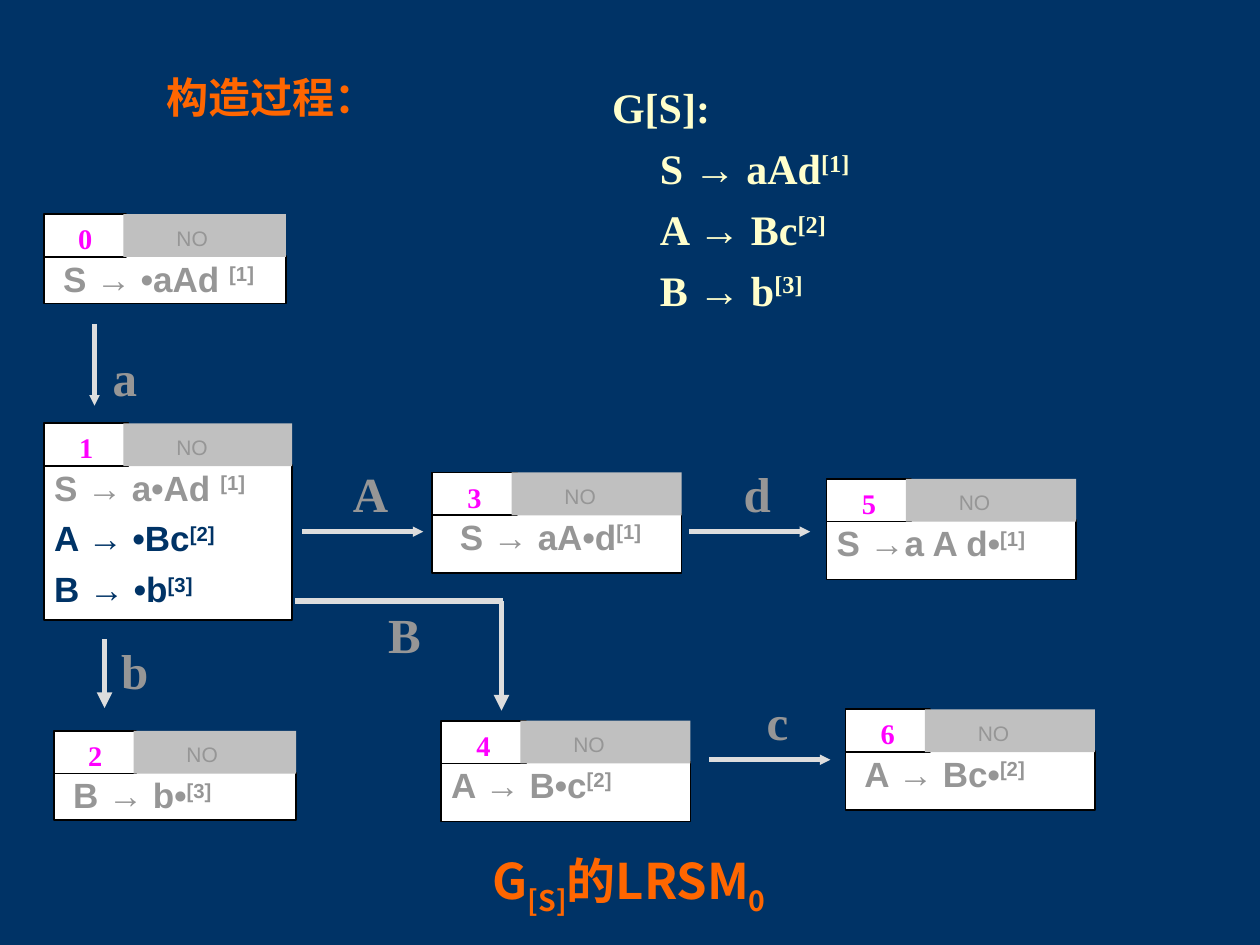
from lxml.etree import SubElement
from pptx import Presentation
from pptx.dml.color import RGBColor
from pptx.enum.shapes import MSO_CONNECTOR, MSO_SHAPE
from pptx.enum.text import MSO_ANCHOR, MSO_AUTO_SIZE, PP_ALIGN
from pptx.oxml.ns import qn
from pptx.util import Inches, Pt

NAVY = RGBColor(0x00, 0x33, 0x66)
ORANGE = RGBColor(0xFF, 0x66, 0x00)
CREAM = RGBColor(0xFF, 0xFF, 0xCC)
MAGENTA = RGBColor(0xFF, 0x00, 0xFF)
GRAY = RGBColor(0x96, 0x96, 0x96)
SILVER = RGBColor(0xC0, 0xC0, 0xC0)
PALE = RGBColor(0xDD, 0xDD, 0xDD)
WHITE = RGBColor(0xFF, 0xFF, 0xFF)
BLACK = RGBColor(0x00, 0x00, 0x00)

SERIF = "Times New Roman"
SANS = "Arial"
CHINESE = "Noto Sans CJK SC"
COLUMNS, ROWS = 100, 75


def write(shape, lines, size=28, font=SERIF, colors=(GRAY,), bold=True, align=PP_ALIGN.LEFT,
          margins=(0.1, 0.1), shift=30, before=0, spacing=None, hanging=0, wrap=True):
    """Write lines into a shape; parts between carets are shifted off the baseline."""
    frame = shape.text_frame
    frame.word_wrap = wrap
    frame.auto_size = MSO_AUTO_SIZE.NONE
    frame.vertical_anchor = MSO_ANCHOR.TOP
    frame.margin_left, frame.margin_top = (Inches(margin) for margin in margins)
    frame.margin_right = frame.margin_bottom = Inches(0.01)
    for index, line in enumerate(lines):
        paragraph = frame.add_paragraph() if index else frame.paragraphs[0]
        paragraph.alignment = align
        paragraph.space_before = Pt(before)
        paragraph.line_spacing = spacing
        if hanging:
            properties = paragraph._p.get_or_add_pPr()
            properties.set("marL", str(Inches(hanging)))
            properties.set("indent", str(-Inches(hanging)))
        for position, part in enumerate(line.split("^")):
            if not part:
                continue
            run = paragraph.add_run()
            run.text = part
            run.font.size = Pt(size)
            run.font.name = font
            run.font.bold = bold
            run.font.color.rgb = colors[min(index, len(colors) - 1)]
            SubElement(run.font._element, qn("a:ea"), typeface=CHINESE)
            if position % 2:
                run.font._element.set("baseline", str(shift * 1000))


class Diagram:
    """Draws a state machine on the current slide, measured in grid columns and rows."""

    def __init__(self, presentation):
        self.column = presentation.slide_width / COLUMNS
        self.row = presentation.slide_height / ROWS
        self.slide = presentation.slides.add_slide(presentation.slide_layouts[5])
        self.slide.background.fill.solid()
        self.slide.background.fill.fore_color.rgb = NAVY

    def area(self, left, top, width, height):
        return (round(left * self.column), round(top * self.row),
                round(width * self.column), round(height * self.row))

    def title(self, text, *place):
        title = self.slide.shapes.title
        title.left, title.top, title.width, title.height = self.area(*place)
        write(title, [text], size=24, colors=(ORANGE,), margins=(0.1, 0.05), wrap=False)

    def text(self, lines, *place, **style):
        write(self.slide.shapes.add_textbox(*self.area(*place)), lines, **style)

    def label(self, letter, left, top):
        self.text([letter], left, top, 4.8, 5.7, align=PP_ALIGN.CENTER, margins=(0.01, 0.01))

    def box(self, lines, *place, fill=WHITE, border=True, **style):
        box = self.slide.shapes.add_shape(MSO_SHAPE.RECTANGLE, *self.area(*place))
        box.shadow.inherit = False
        box.fill.solid()
        box.fill.fore_color.rgb = fill
        if border:
            box.line.color.rgb = BLACK
            box.line.width = Pt(1)
        else:
            box.line.fill.background()
        write(box, lines, **style)

    def state(self, number, left, top, width, height, indent, items, colors=(GRAY,)):
        self.box(items, left, top + 3.3, width, height, size=20, font=SANS, colors=colors,
                 margins=(0.01 + 0.07 * indent, 0.01), before=5)
        self.box([f"^{number}^"], left, top, 0.34 * width, 3.4, colors=(MAGENTA,),
                 align=PP_ALIGN.CENTER, margins=(0.01, 0.01))
        self.box(["NO"], left + 6.3, top, width - 6.3, 3.4, fill=SILVER, border=False,
                 size=12, font=SANS, bold=False, margins=(0.42, 0.05), before=7.5, spacing=1.2)

    def line(self, left, top, right, bottom, head=None):
        start_x, start_y, end_x, end_y = self.area(left, top, right, bottom)
        line = self.slide.shapes.add_connector(
            MSO_CONNECTOR.STRAIGHT, start_x, start_y, end_x, end_y)
        line.line.color.rgb = PALE
        line.line.width = Pt(3)
        if head:
            SubElement(line.line._get_or_add_ln(), qn("a:tailEnd"),
                       type="triangle", w=head, len=head)
        SubElement(line._element.spPr, qn("a:effectLst"))


def main():
    presentation = Presentation()
    presentation.slide_width, presentation.slide_height = Inches(10), Inches(7.5)
    diagram = Diagram(presentation)

    diagram.title("构造过程：", 12.2, 5.2, 18.6, 5)
    diagram.text(["G[S]:", "\tS → aAd^[1]^", "\tA → Bc^[2]^", "\tB → b^[3]^"],
                 47.6, 6, 24, 21.3, size=24, colors=(CREAM,), margins=(0.1, 0.05),
                 before=6, hanging=0.38)
    diagram.text(["G^[S]^的LRSM^0^"], 39, 67.4, 35.1, 4.3, font=CHINESE, colors=(ORANGE,),
                 margins=(0.01, 0.01), shift=-25)

    states = [
        (0, 3.5, 17, 19.2, 3.8, 2, ["S → •aAd ^[1]^"]),
        (1, 3.5, 33.6, 19.7, 12.3, 1, ["S → a•Ad ^[1]^", "A → •Bc^[2]^", "B → •b^[3]^"],
         (GRAY, NAVY)),
        (2, 4.3, 58, 19.2, 3.8, 2, ["B → b•^[3]^"]),
        (3, 34.3, 37.5, 19.8, 4.7, 3, ["S → aA•d^[1]^"]),
        (4, 35, 57.2, 19.8, 4.7, 1, ["A → B•c^[2]^"]),
        (5, 65.6, 38, 19.8, 4.7, 1, ["S →a A d•^[1]^"]),
        (6, 67.1, 56.3, 19.8, 4.7, 2, ["A → Bc•^[2]^"]),
    ]
    for state in states:
        diagram.state(*state)

    for letter, left, top in [("A", 24, 42.2), ("d", 54.7, 42.2), ("c", 56.3, 60.3)]:
        diagram.label(letter, left + 3, top - 5.5)
        diagram.line(left, top, left + 9.6, top, head="sm")
    for letter, left, top, bottom, label_top, head in [
            ("a", 7.5, 25.7, 32.2, 27.5, "sm"), ("b", 8.3, 50.7, 56.2, 50.7, "med")]:
        diagram.label(letter, left, label_top)
        diagram.line(left, top, left, bottom, head=head)

    diagram.label("B", 29.7, 47.9)
    diagram.line(23.4, 47.7, 39.9, 47.7)
    diagram.line(39.8, 47.7, 39.8, 56.4, head="med")

    presentation.save("out.pptx")


if __name__ == "__main__":
    main()
